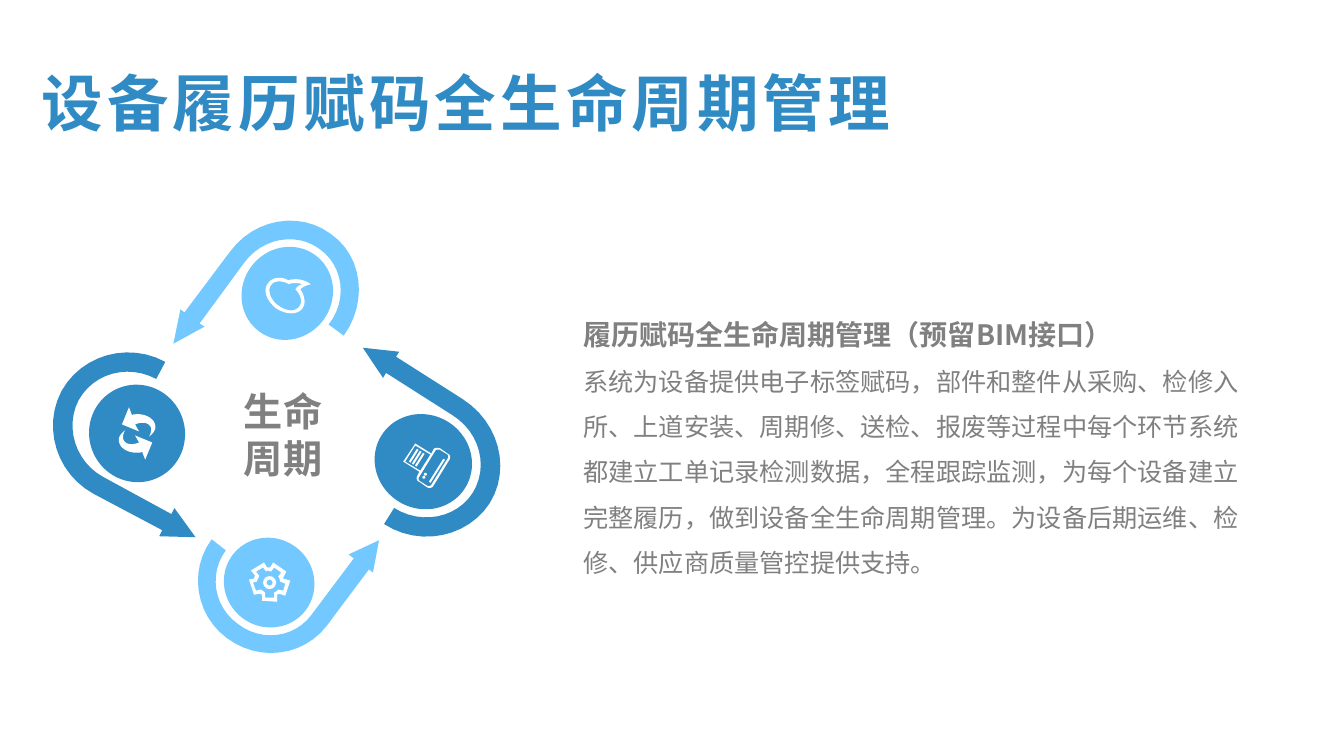
from dataclasses import dataclass

from lxml.etree import SubElement
from pptx import Presentation
from pptx.dml.color import RGBColor
from pptx.enum.shapes import MSO_SHAPE as Preset
from pptx.enum.text import MSO_AUTO_SIZE as AutoSize, PP_ALIGN as Align
from pptx.oxml.ns import qn
from pptx.util import Pt


@dataclass(frozen=True)
class Theme:
    sky: RGBColor = RGBColor(0x73, 0xC8, 0xFF)
    ocean: RGBColor = RGBColor(0x30, 0x8B, 0xC4)
    white: RGBColor = RGBColor(0xFF, 0xFF, 0xFF)
    grey: RGBColor = RGBColor(0x80, 0x80, 0x80)
    font: str = "Noto Sans CJK SC"
    title_font: str = "Arial"
    title_size: int = 44
    hub_size: int = 28
    heading_size: int = 20
    body_size: int = 18


THEME = Theme()
GRID = 0.72
CURVE_STEPS = 12

LEAF_ARROW = [
    (-113, 50), (-82, 33), (-87, 30), (-43, -30), (-25, -55, 9, -61, 32, -44),
    (56, -27, 60, 7, 41, 31), (56, 42), (80, 9, 75, -37, 43, -59),
    (12, -82, -33, -74, -57, -41), (-102, 19), (-106, 16)]
RENEWAL_ARROW = [
    (58, 103), (37, 74), (34, 80), (-34, 43), (-61, 28, -72, -6, -58, -33),
    (-43, -60, -9, -69, 19, -54), (28, -71), (-9, -91, -55, -78, -75, -42),
    (-94, -6, -80, 40, -43, 60), (25, 96), (22, 102)]
PRINTER_ARROW = [
    (-60, -113), (-40, -83), (-37, -88), (29, -46), (56, -29, 65, 5, 49, 31),
    (33, 56, -2, 63, -29, 46), (-39, 62), (-3, 85, 44, 75, 66, 41),
    (87, 7, 75, -39, 39, -62), (-27, -104), (-24, -109)]
GEAR_ARROW = [
    (109, -42), (79, -28), (84, -24), (42, 32), (25, 55, -8, 59, -31, 41),
    (-55, 24, -60, -9, -43, -32), (-57, -43), (-80, -12, -73, 32, -42, 55),
    (-10, 79, 34, 73, 57, 43), (99, -13), (103, -10)]

LEAF_EDGE = [
    (24, -9), (24, -9, 17, -8, 13, -4), (17, 2, 19, 10, 15, 15),
    (10, 22, -2, 21, -11, 15), (-20, 8, -25, -3, -19, -10),
    (-15, -16, -6, -17, 1, -13), (13, -16, 21, -11, 23, -9)]
LEAF_HOLLOW = [
    (4, 17), (7, 17, 11, 15, 12, 13), (15, 9, 14, 3, 9, -3), (8, -4), (9, -5),
    (10, -7, 12, -8, 15, -9), (12, -10, 7, -11, 1, -9), (0, -10),
    (-7, -13, -14, -12, -16, -8), (-18, -6, -18, -2, -17, 1),
    (-16, 5, -13, 9, -9, 12), (-5, 15, 0, 17, 4, 17)]
SWIRL = [
    (-2, -19), (-3, -19, -4, -19, -5, -18), (-8, -26), (-15, -9), (2, -2),
    (-2, -9), (8, -13, 14, -9, 14, -4), (14, -1, 13, 1, 12, 3),
    (16, 0, 19, -4, 18, -8), (17, -15, 8, -20, -2, -19)]
PRINTER_EDGE = [
    (10, -12), (8, -8), (-8, -18), (-20, 0), (-4, 10), (-6, 14),
    (-7, 16, -7, 19, -4, 20), (3, 25), (6, 27, 9, 26, 10, 24), (26, -2),
    (27, -4, 27, -7, 24, -8), (17, -13), (14, -14, 11, -14, 10, -12)]
PAPER_HOLLOW = [(-18, 0), (-8, -16), (7, -7), (-3, 9)]
PRINTER_HOLLOW = [
    (24, -7), (25, -6, 25, -4, 24, -3), (8, 23), (7, 24, 6, 25, 4, 24),
    (-4, 19), (-5, 18, -5, 16, -4, 15), (12, -11), (13, -12, 14, -12, 16, -12)]
GEAR_EDGE = [
    (-20, -3), (-15, -4), (-14, -7), (-18, -12), (-5, -20), (-2, -15),
    (1, -15), (4, -20), (17, -11), (14, -5), (14, -4), (21, -2), (16, 13),
    (10, 11), (8, 12), (8, 19), (-7, 18), (-7, 12), (-9, 11), (-15, 12)]
GEAR_HOLLOW = [
    (-13, -11), (-10, -7), (-10, -6), (-12, -2), (-12, -1), (-16, 0),
    (-13, 8), (-9, 7), (-8, 7), (-5, 9), (-4, 10), (-4, 15), (5, 15),
    (5, 10), (8, 8), (9, 7), (14, 8), (16, 1), (11, -1), (10, -5), (9, -6),
    (12, -10), (5, -15), (2, -11), (-2, -12), (-3, -11), (-6, -15)]


def paint(part, color):
    part.shadow.inherit = False
    part.fill.solid()
    part.fill.fore_color.rgb = color
    part.line.fill.background()


def trace(outline):
    points = [outline[0]]
    for step in outline[1:]:
        if len(step) == 2:
            points.append(step)
            continue
        ends = list(zip(points[-1] + step[:0], step[0:2], step[2:4], step[4:6]))
        for i in range(1, CURVE_STEPS + 1):
            t = i / CURVE_STEPS
            u = 1 - t
            points.append(tuple(
                u ** 3 * a + 3 * u * u * t * b + 3 * u * t * t * c + t ** 3 * d
                for a, b, c, d in ends))
    return points


def add_outline(station, center, color, *outlines):
    contours = [[(Pt(center[0] + x * GRID), Pt(center[1] + y * GRID))
                 for x, y in trace(outline)] for outline in outlines]
    pen = station.shapes.build_freeform(*contours[0][0])
    for i, contour in enumerate(contours):
        if i:
            pen.move_to(*contour[0])
        pen.add_line_segments(contour[1:], close=True)
    paint(pen.convert_to_shape(), color)


def add_preset(station, center, preset, offset, size, color, turn=0):
    width, height = (side * GRID for side in size)
    part = station.shapes.add_shape(
        preset, Pt(center[0] + offset[0] * GRID - width / 2),
        Pt(center[1] + offset[1] * GRID - height / 2), Pt(width), Pt(height))
    part.rotation = turn
    paint(part, color)
    return part


def leaf_icon(station, center):
    add_outline(station, center, THEME.white, LEAF_EDGE, LEAF_HOLLOW)


def renewal_icon(station, center):
    opposite = [tuple(-value for value in step) for step in SWIRL]
    for swirl in (SWIRL, opposite):
        add_outline(station, center, THEME.white, swirl)


def printer_icon(station, center):
    bars = [((13.5, 9), 27)] + [((-9.5 + 3 * i, -6 + 2 * i), 15) for i in range(3)]
    for offset, length in bars:
        add_preset(station, center, Preset.RECTANGLE, offset, (length, 2), THEME.white, 302.1)
    add_outline(station, center, THEME.white, PRINTER_EDGE, PAPER_HOLLOW, PRINTER_HOLLOW)
    for offset in ((0.5, 15.5), (2, 12.5)):
        add_preset(station, center, Preset.OVAL, offset, (3, 3), THEME.white)


def gear_icon(station, center):
    add_outline(station, center, THEME.white, GEAR_EDGE, GEAR_HOLLOW)
    ring = add_preset(station, center, Preset.DONUT, (0.5, 0), (13, 13), THEME.white)
    ring.adjustments[0] = 0.27


STATIONS = [
    ((235, 91), LEAF_ARROW, (89, 94), 216.3, THEME.sky, leaf_icon),
    ((86, 230), RENEWAL_ARROW, (95, 97), 337.9, THEME.ocean, renewal_icon),
    ((370, 258), PRINTER_ARROW, (93, 98), 302.1, THEME.ocean, printer_icon),
    ((217, 378), GEAR_ARROW, (91, 88), 36.8, THEME.sky, gear_icon),
]


def add_text(slide, box):
    frame = slide.shapes.add_textbox(*(Pt(length) for length in box)).text_frame
    frame.word_wrap = True
    frame.auto_size = AutoSize.SHAPE_TO_FIT_TEXT
    return frame


def add_run(paragraph, words, size, color, bold, font=THEME.font):
    run = paragraph.add_run()
    run.text = words
    run.font.size = Pt(size)
    run.font.bold = bold
    run.font.color.rgb = color
    run.font.name = font
    SubElement(run.font._element, qn("a:ea")).set("typeface", THEME.font)
    return run


def draw_title(slide, box):
    frame = add_text(slide, box)
    frame.margin_left = Pt(21.5)
    title = frame.paragraphs[0]
    title.line_spacing = 1.2
    run = add_run(title, "设备履历赋码全生命周期管理", THEME.title_size,
                  THEME.ocean, True, THEME.title_font)
    run.font._element.set("spc", "280")


def draw_cycle(slide, box):
    left, top, width, height = box
    for spot, arrow, disc, turn, color, draw_icon in STATIONS:
        center = left + spot[0] * GRID, top + spot[1] * GRID
        station = slide.shapes.add_group_shape()
        add_outline(station, center, color, arrow)
        add_preset(station, center, Preset.OVAL, (0, 0), disc, color, turn)
        draw_icon(station, center)
    hub = add_text(slide, (left + 124.5, top + 129, 83.5, 75)).paragraphs[0]
    hub.alignment = Align.CENTER
    add_run(hub, "生命周期", THEME.hub_size, THEME.grey, True)


def draw_description(slide, box):
    frame = add_text(slide, box)
    heading, body = frame.paragraphs[0], frame.add_paragraph()
    heading.line_spacing = body.line_spacing = 1.5
    add_run(heading, "履历赋码全生命周期管理（预留BIM接口）", THEME.heading_size, THEME.grey, True)
    add_run(body, "系统为设备提供电子标签赋码，部件和整件从采购、检修入所、上道安装、周期修、"
            "送检、报废等过程中每个环节系统都建立工单记录检测数据，全程跟踪监测，为每个设备"
            "建立完整履历，做到设备全生命周期管理。为设备后期运维、检修、供应商质量管控提供支持。",
            THEME.body_size, THEME.grey, False)


def main():
    deck = Presentation()
    deck.slide_width, deck.slide_height = Pt(960), Pt(540)
    slide = deck.slides.add_slide(deck.slide_layouts[6])
    draw_cycle(slide, (36, 144, 324, 328))
    draw_description(slide, (409.5, 211, 486.5, 207.5))
    draw_title(slide, (8.5, 32.5, 944, 65))
    deck.save("out.pptx")


if __name__ == "__main__":
    main()
